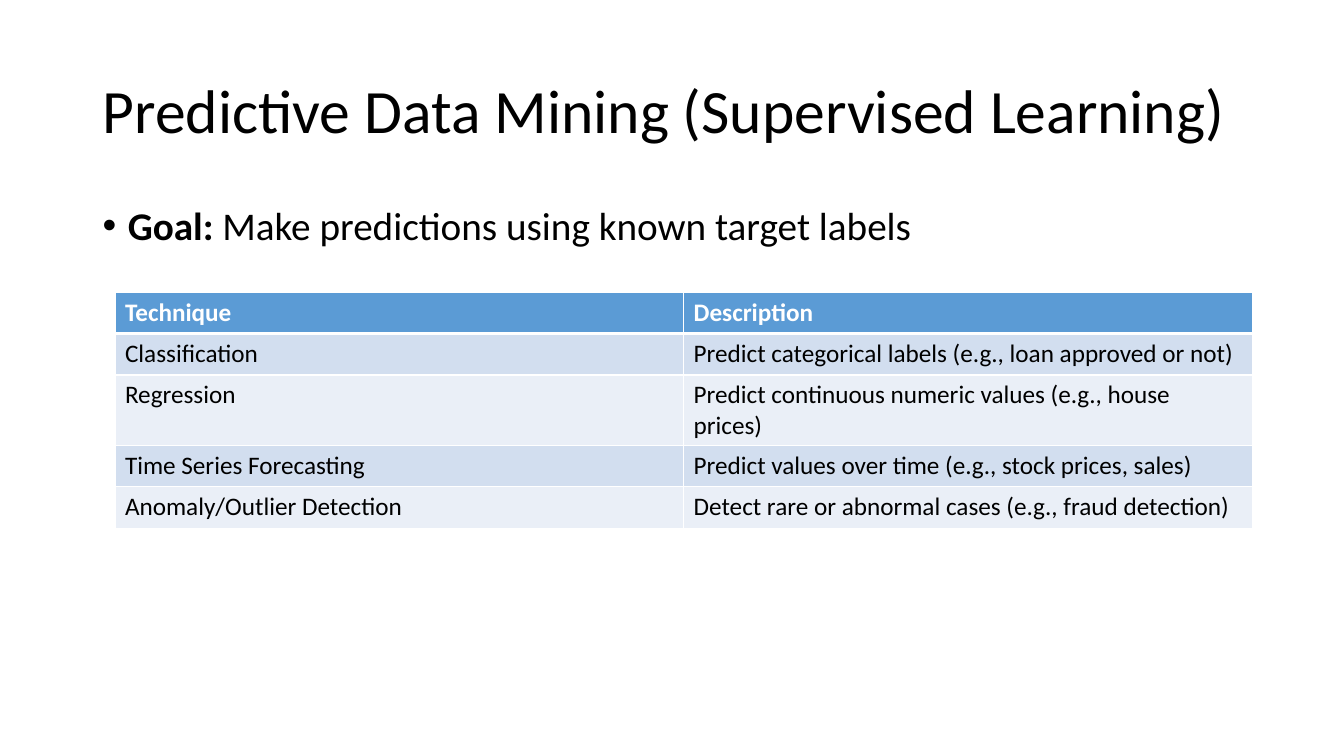
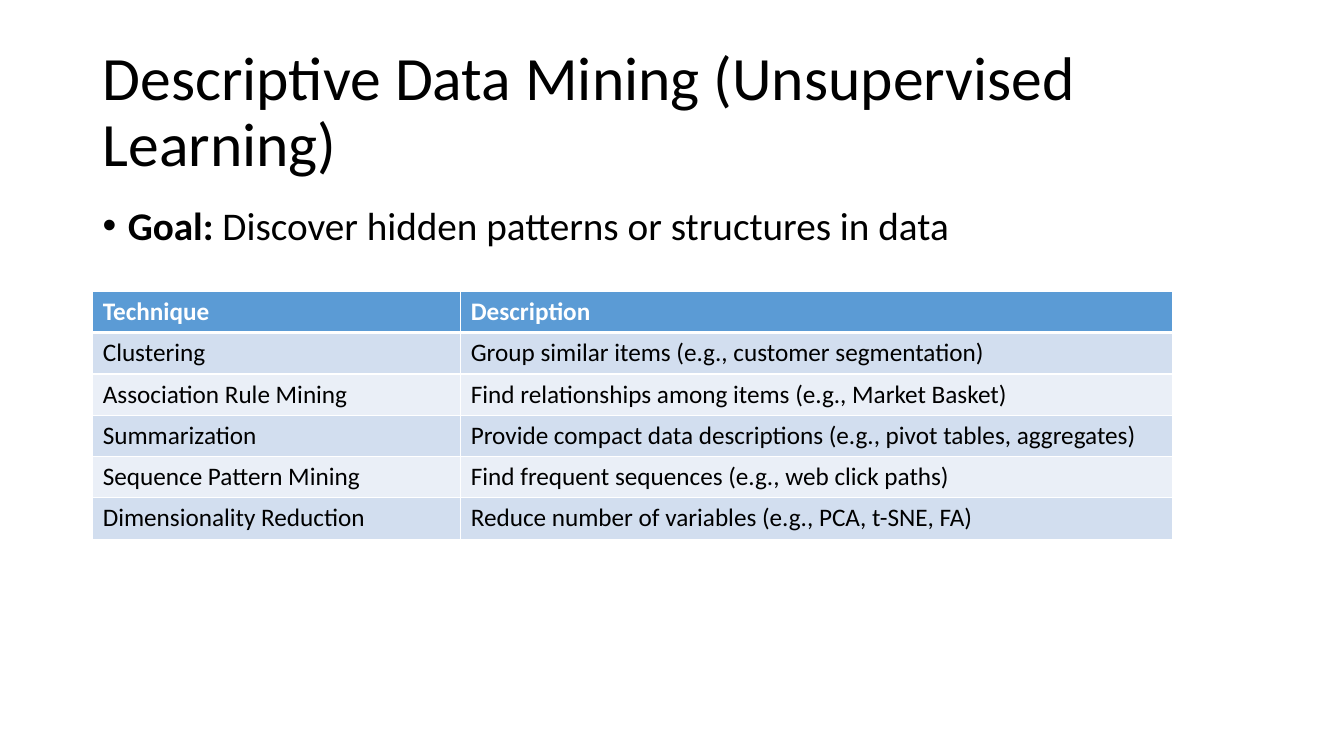
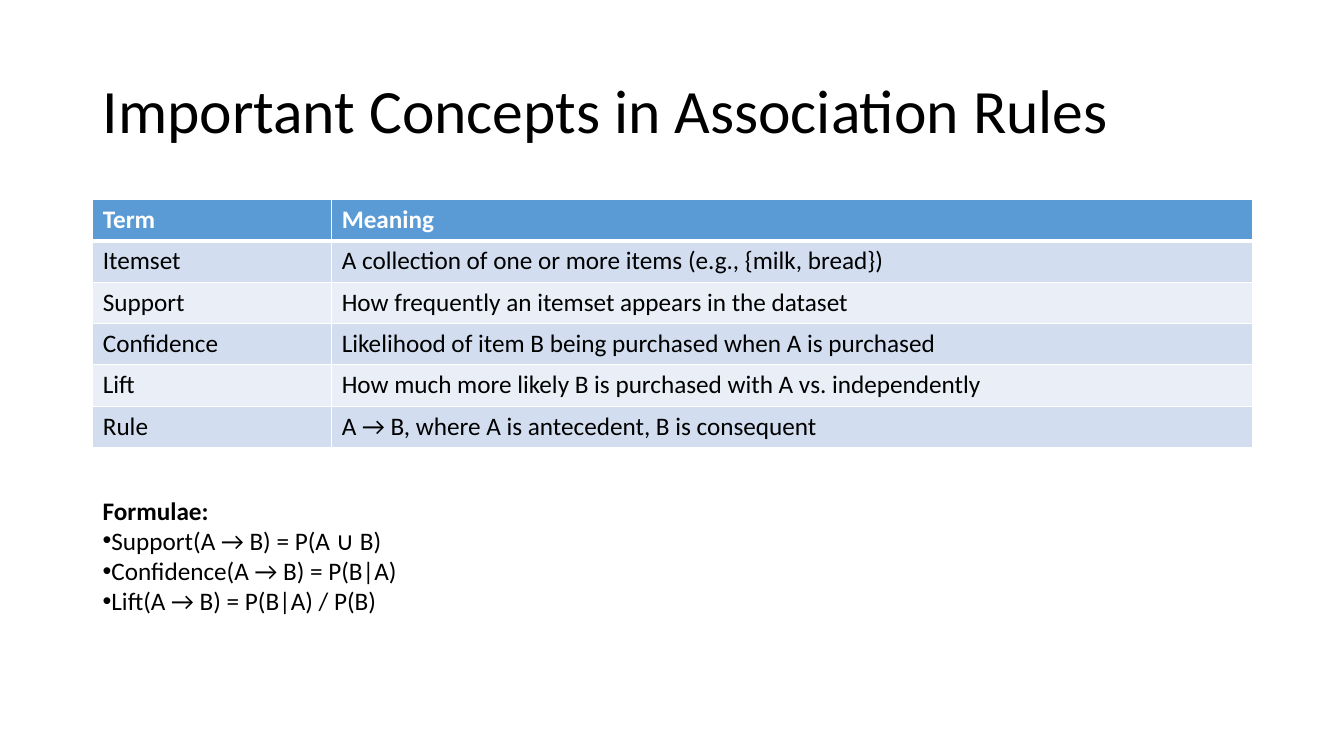
from lxml.etree import SubElement
from pptx import Presentation
from pptx.dml.color import RGBColor
from pptx.enum.text import MSO_ANCHOR, MSO_AUTO_SIZE
from pptx.oxml import parse_xml
from pptx.oxml.ns import nsdecls, qn
from pptx.util import Inches, Pt

# Content
SLIDES = [
    {
        "title": "Predictive Data Mining (Supervised Learning)",
        "goal": "Make predictions using known target labels",
        "table": {"left": 1.14, "top": 2.9, "columns": (5.64, 5.64)},
        "rows": [
            ("Technique", "Description"),
            ("Classification", "Predict categorical labels (e.g., loan approved or not)"),
            ("Regression", "Predict continuous numeric values (e.g., house prices)"),
            ("Time Series Forecasting", "Predict values over time (e.g., stock prices, sales)"),
            ("Anomaly/Outlier Detection", "Detect rare or abnormal cases (e.g., fraud detection)"),
        ],
    },
    {
        "title": "Descriptive Data Mining (Unsupervised Learning)",
        "goal": "Discover hidden patterns or structures in data",
        "table": {"left": 0.92, "top": 2.89, "columns": (3.65, 7.06)},
        "rows": [
            ("Technique", "Description"),
            ("Clustering", "Group similar items (e.g., customer segmentation)"),
            ("Association Rule Mining", "Find relationships among items (e.g., Market Basket)"),
            ("Summarization", "Provide compact data descriptions (e.g., pivot tables, aggregates)"),
            ("Sequence Pattern Mining", "Find frequent sequences (e.g., web click paths)"),
            ("Dimensionality Reduction", "Reduce number of variables (e.g., PCA, t-SNE, FA)"),
        ],
    },
    {
        "title": "Important Concepts in Association Rules",
        "table": {"left": 0.92, "top": 1.98, "columns": (2.37, 9.13)},
        "rows": [
            ("Term", "Meaning"),
            ("Itemset", "A collection of one or more items (e.g., {milk, bread})"),
            ("Support", "How frequently an itemset appears in the dataset"),
            ("Confidence", "Likelihood of item B being purchased when A is purchased"),
            ("Lift", "How much more likely B is purchased with A vs. independently"),
            ("Rule", "A → B, where A is antecedent, B is consequent"),
        ],
        "formulae": [
            "Support(A → B) = P(A ∪ B)",
            "Confidence(A → B) = P(B|A)",
            "Lift(A → B) = P(B|A) / P(B)",
        ],
    },
]

# Shared style
COLORS = {"text": "000000", "white": "FFFFFF", "header": "5B9BD5",
          "odd": "D2DEEF", "even": "EAEFF7"}
TITLE = {"name": "Calibri", "size": Pt(44), "bold": False}
BODY = {**TITLE, "size": Pt(28)}
SMALL = {**TITLE, "size": Pt(18)}
BOLD = {"bold": True}
BOXES = {"title": (0.92, 0.4, 11.5, 1.45), "goal": (0.92, 2, 11.5, 4.76),
         "formulae": (0.92, 4.86, 6.67, 1.31)}
ROW_HEIGHT = 0.41


def set_values(target, values):
    for name, value in values.items():
        setattr(target, name, value)


def add_run(paragraph, text, font, color="text"):
    run = paragraph.add_run()
    run.text = text
    set_values(run.font, font)
    run.font.color.rgb = RGBColor.from_string(COLORS[color])


def add_bullet(paragraph, indent=0):
    properties = paragraph._p.get_or_add_pPr()
    properties.set("marL", str(Inches(indent)))
    properties.set("indent", str(-Inches(indent)))
    SubElement(properties, qn("a:buFont")).set("typeface", "Arial")
    SubElement(properties, qn("a:buChar")).set("char", "•")


def add_text_frame(slide, box, **values):
    frame = slide.shapes.add_textbox(*map(Inches, BOXES[box])).text_frame
    set_values(frame, {"word_wrap": True, **values})
    return frame


def add_title(slide, text):
    paragraph = add_text_frame(slide, "title", vertical_anchor=MSO_ANCHOR.MIDDLE).paragraphs[0]
    paragraph.line_spacing = 0.9
    add_run(paragraph, text, TITLE)


def add_goal(slide, text):
    paragraph = add_text_frame(slide, "goal").paragraphs[0]
    set_values(paragraph, {"line_spacing": 0.9, "space_before": Pt(10)})
    add_bullet(paragraph, 0.25)
    add_run(paragraph, "Goal:", {**BODY, **BOLD})
    add_run(paragraph, " " + text, BODY)


def add_formulae(slide, formulae):
    frame = add_text_frame(slide, "formulae", auto_size=MSO_AUTO_SIZE.SHAPE_TO_FIT_TEXT)
    add_run(frame.paragraphs[0], "Formulae:", {**SMALL, **BOLD})
    for formula in formulae:
        paragraph = frame.add_paragraph()
        add_bullet(paragraph)
        add_run(paragraph, formula, SMALL)


def set_borders(cell, widths):
    # Border lines come before the fill in the cell properties
    properties = cell._tc.get_or_add_tcPr()
    for index, (side, width) in enumerate(widths.items()):
        properties.insert(index, parse_xml(
            f'<a:ln{side} {nsdecls("a")} w="{Pt(width)}"><a:solidFill>'
            f'<a:srgbClr val="{COLORS["white"]}"/></a:solidFill></a:ln{side}>'))


def add_table(slide, rows, left, top, columns):
    table = slide.shapes.add_table(
        len(rows), len(columns), Inches(left), Inches(top),
        Inches(sum(columns)), Inches(ROW_HEIGHT * len(rows))).table
    for column, width in zip(table.columns, columns):
        column.width = Inches(width)
    for row_index, texts in enumerate(rows):
        header = row_index == 0
        fill = "header" if header else ("even", "odd")[row_index % 2]
        widths = {"L": 1, "R": 1, "T": 3 if row_index == 1 else 1, "B": 3 if header else 1}
        for column_index, text in enumerate(texts):
            cell = table.cell(row_index, column_index)
            cell.fill.solid()
            cell.fill.fore_color.rgb = RGBColor.from_string(COLORS[fill])
            set_borders(cell, widths)
            add_run(cell.text_frame.paragraphs[0], text,
                    {**SMALL, "bold": header}, "white" if header else "text")


def main():
    presentation = Presentation()
    set_values(presentation, {"slide_width": Inches(13.33), "slide_height": Inches(7.5)})
    for content in SLIDES:
        slide = presentation.slides.add_slide(presentation.slide_layouts[6])
        add_title(slide, content["title"])
        if "goal" in content:
            add_goal(slide, content["goal"])
        add_table(slide, content["rows"], **content["table"])
        if "formulae" in content:
            add_formulae(slide, content["formulae"])
    presentation.save("out.pptx")


if __name__ == "__main__":
    main()
